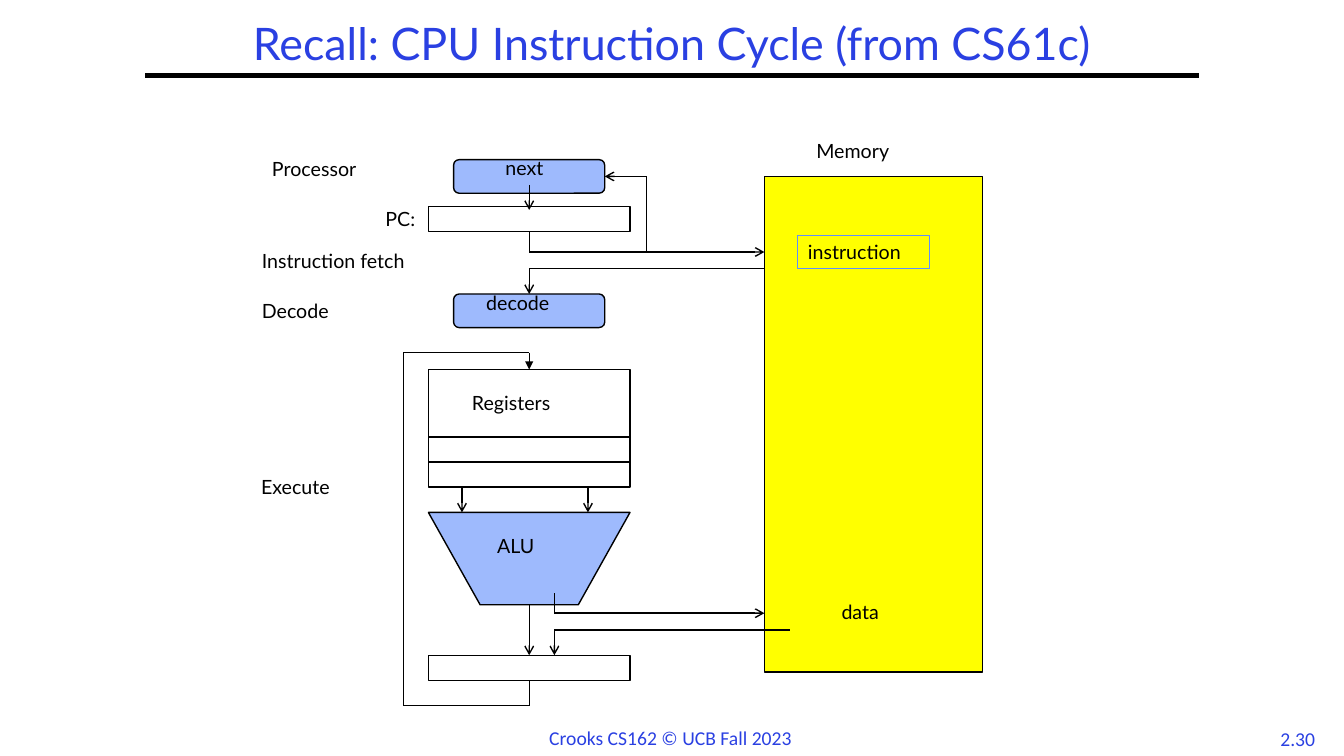
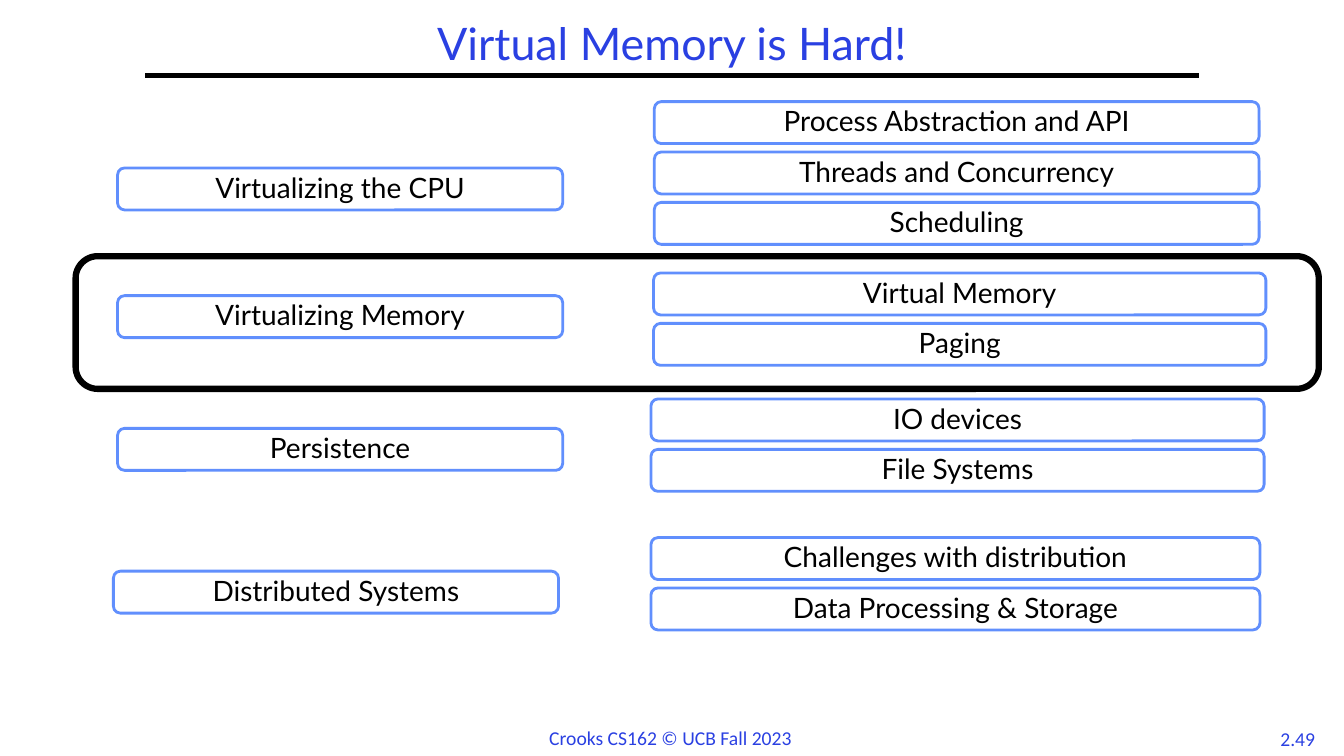
import dataclasses
import itertools

import lxml.etree
import pptx
import pptx.dml.color
import pptx.enum.shapes
import pptx.enum.text
import pptx.oxml.ns
import pptx.util

SHAPE = pptx.enum.shapes.MSO_SHAPE
ALIGN = pptx.enum.text.PP_ALIGN
ANCHOR = pptx.enum.text.MSO_ANCHOR
COLUMNS, ROWS = 160, 90
CELL = pptx.util.Inches(1) / 12


@dataclasses.dataclass(frozen=True)
class Theme:
    heading: str = "2A40E2"
    accent: str = "618FFD"
    memory: str = "FFFF00"
    ink: str = "000000"
    paper: str = "FFFFFF"
    font: str = "Lato"
    footer_font: str = "Calibri"
    title_size: int = 32
    topic_size: int = 20
    label_size: int = 14
    unit_opacity: int = 61
    hairline: float = 0.75
    thin: float = 1
    outline: float = 2
    rule: float = 3
    frame: float = 4.5


def cells(*counts):
    """Turn counts of grid cells into lengths."""
    return [round(count * CELL) for count in counts]


def rgb(code):
    return pptx.dml.color.RGBColor.from_string(code)


def apply(target, values):
    for name, value in values.items():
        setattr(target, name, value)


def add_xml(parent, tag, **attributes):
    return lxml.etree.SubElement(parent, pptx.oxml.ns.qn(tag), attributes)


class Deck:
    """Holds the style and the slide being drawn; lengths are grid cells."""

    def __init__(self, theme):
        self.theme = theme
        self.presentation = pptx.Presentation()
        width, height = cells(COLUMNS, ROWS)
        apply(self.presentation, {"slide_width": width, "slide_height": height})
        self.slide = None

    def start_slide(self, title, number):
        theme = self.theme
        self.slide = self.presentation.slides.add_slide(self.presentation.slide_layouts[5])
        heading = self.slide.shapes.title
        apply(heading, dict(zip(("left", "top", "width", "height"), cells(0, 2, COLUMNS, 7))))
        self.set_text(heading, title, theme.title_size, color=theme.heading,
                      align=ALIGN.CENTER, anchor=ANCHOR.MIDDLE, spacing=0.9)
        self.route([(17.3, 9), (142.7, 9)], weight=theme.rule)
        footer = {"color": theme.heading, "font": theme.footer_font}
        self.label("Crooks CS162 © UCB Fall 2023", 64.2, 85.8, 31.6, **footer)
        self.label(number, 151, 85.9, 7, align=ALIGN.CENTER, **footer)

    def set_text(self, holder, text, size, color=None, font=None, align=ALIGN.LEFT,
                 anchor=ANCHOR.TOP, spacing=1.0):
        frame = holder.text_frame
        apply(frame, {"text": text, "word_wrap": True, "vertical_anchor": anchor,
                      "auto_size": pptx.enum.text.MSO_AUTO_SIZE.NONE})
        paragraph = frame.paragraphs[0]
        apply(paragraph, {"alignment": align, "line_spacing": spacing})
        apply(paragraph.font, {"name": font or self.theme.font, "size": pptx.util.Pt(size)})
        paragraph.font.color.rgb = rgb(color or self.theme.ink)

    def label(self, text, left, top, width, **style):
        holder = self.slide.shapes.add_textbox(*cells(left, top, width, 4))
        self.set_text(holder, text, self.theme.label_size, **style)

    def box(self, left, top, width, height, kind=SHAPE.RECTANGLE, fill=None,
            line=None, weight=None):
        shape = self.slide.shapes.add_shape(kind, *cells(left, top, width, height))
        shape.shadow.inherit = False
        if fill:
            shape.fill.solid()
            shape.fill.fore_color.rgb = rgb(fill)
        else:
            shape.fill.background()
        shape.line.color.rgb = rgb(line or self.theme.ink)
        shape.line.width = pptx.util.Pt(weight or self.theme.thin)
        return shape

    def unit(self, left, top, width, height, kind=SHAPE.ROUNDED_RECTANGLE):
        """Draw a part of the processor that does work, in translucent blue."""
        shape = self.box(left, top, width, height, kind, self.theme.accent)
        fill_color = shape._element.spPr.find(".//" + pptx.oxml.ns.qn("a:srgbClr"))
        add_xml(fill_color, "a:alpha", val=str(self.theme.unit_opacity * 1000))
        return shape

    def topic(self, text, left, top, width):
        theme = self.theme
        shape = self.box(left, top, width, 5, SHAPE.ROUNDED_RECTANGLE,
                         theme.paper, theme.accent, theme.outline)
        self.set_text(shape, text, theme.topic_size, align=ALIGN.CENTER,
                      anchor=ANCHOR.MIDDLE, spacing=0.9)

    def route(self, points, head=None, weight=None):
        """Join the points with straight lines; the last may carry an arrowhead."""
        for start, end in itertools.pairwise(points):
            wire = self.slide.shapes.add_connector(
                pptx.enum.shapes.MSO_CONNECTOR.STRAIGHT, *cells(*start, *end))
            wire.line.color.rgb = rgb(self.theme.ink)
            wire.line.width = pptx.util.Pt(weight or self.theme.thin)
            properties = wire._element.spPr
            if head and end == points[-1]:
                add_xml(properties.find(pptx.oxml.ns.qn("a:ln")), "a:tailEnd", type=head)
            add_xml(properties, "a:effectLst")


def draw_instruction_cycle(deck):
    theme = deck.theme
    deck.start_slide("Recall: CPU Instruction Cycle (from CS61c)", "2.30")

    deck.box(91, 21, 26, 59, fill=theme.memory)
    deck.box(95, 28, 15.7, 4, line=theme.accent, weight=theme.hairline)
    register_left, register_width = 51, 24
    for top, height in ((24.6, 3), (44, 14), (52, 3), (78, 3)):
        deck.box(register_left, top, register_width, height)
    for top in (19, 35):
        deck.unit(54, top, 18, 4)
    alu = deck.unit(register_left, 61, register_width, 11, SHAPE.TRAPEZOID)
    alu.adjustments[0] = 0.56
    alu.rotation = 180

    arrow_routes = (
        [(63, 27.6), (63, 30), (91, 30)],
        [(91, 32), (63, 32), (63, 35)],
        [(63, 22), (63, 25)],
        [(77, 30), (77, 21), (72, 21)],
        [(55, 58), (55, 61)],
        [(70, 58), (70, 61)],
        [(63, 72), (63, 78)],
        [(66, 70.6), (66, 73), (91, 73)],
        [(94, 75), (66, 75), (66, 78)],
    )
    for points in arrow_routes:
        deck.route(points, "arrow")
    deck.route([(63, 81), (63, 84), (48, 84), (48, 42), (63, 42), (63, 44)], "triangle")

    labels = (
        ("Processor", 31.2, 18.1, 15),
        ("PC:", 44.7, 24.1, 7),
        ("Instruction fetch", 30, 29, 24.6),
        ("Decode", 30, 35, 12),
        ("Execute", 29.9, 56, 12.5),
        ("next", 59, 18, 8.2),
        ("decode", 56.7, 34, 11.4),
        ("Registers", 55, 46, 14.4),
        ("ALU", 58, 63, 8.2),
        ("Memory", 96, 16, 12.7),
        ("instruction", 95, 28, 15.7),
        ("data", 99, 70.8, 7.8),
    )
    for placed_label in labels:
        deck.label(*placed_label)


def draw_course_topics(deck):
    theme = deck.theme
    deck.start_slide("Virtual Memory is Hard!", "2.49")
    deck.box(9, 30.5, 148, 15.8, SHAPE.ROUNDED_RECTANGLE, theme.paper, weight=theme.frame)

    subtopic_step = 6
    course_parts = (
        ("Virtualizing the CPU", (14, 20), (77.9, 12.1, 72),
         ("Process Abstraction and API", "Threads and Concurrency", "Scheduling")),
        ("Virtualizing Memory", (14, 35.2), (77.8, 32.5, 72.9),
         ("Virtual Memory", "Paging")),
        ("Persistence", (14, 51), (77.5, 47.5, 73),
         ("IO devices", "File Systems")),
        ("Distributed Systems", (13.5, 68), (77.5, 64, 72.5),
         ("Challenges with distribution", "Data Processing & Storage")),
    )
    for name, (left, top), (subtopic_left, first_top, width), subtopics in course_parts:
        deck.topic(name, left, top, 53)
        for index, subtopic in enumerate(subtopics):
            deck.topic(subtopic, subtopic_left, first_top + index * subtopic_step, width)


def main():
    deck = Deck(Theme())
    draw_instruction_cycle(deck)
    draw_course_topics(deck)
    deck.presentation.save("out.pptx")


if __name__ == "__main__":
    main()
